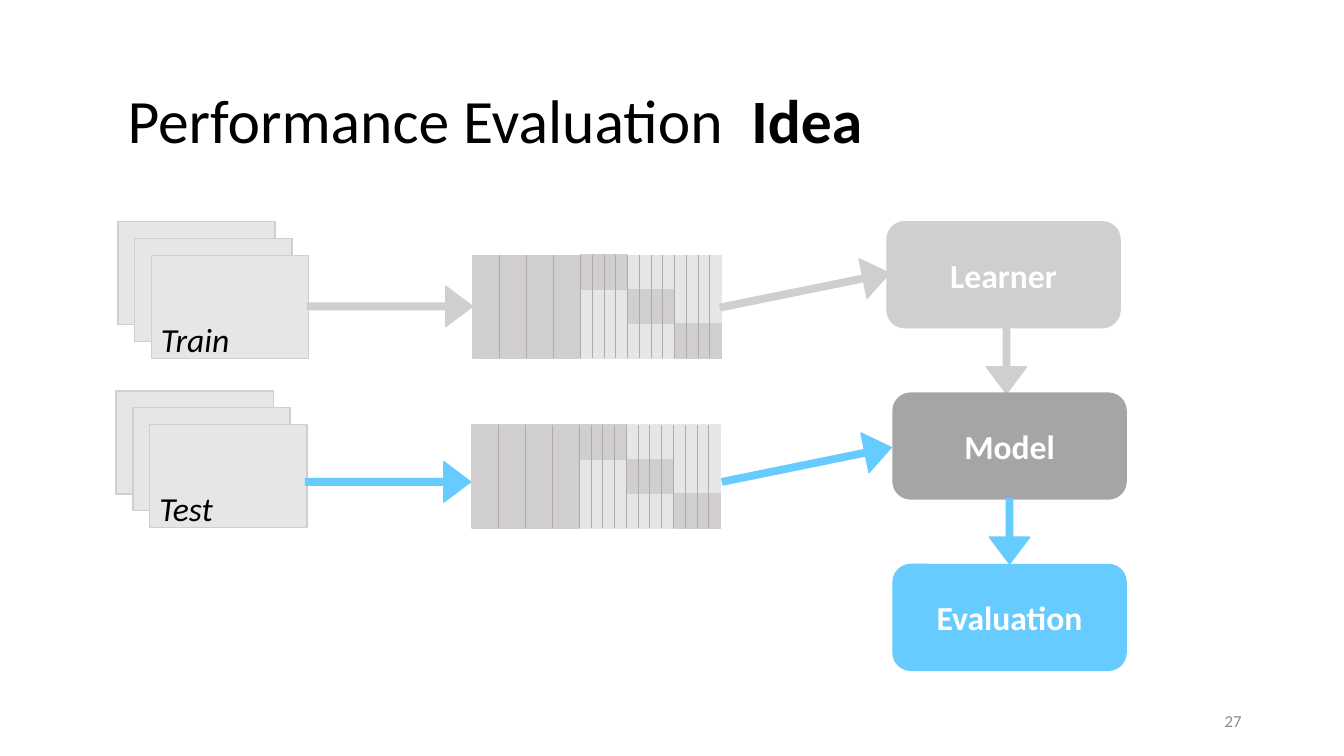
from lxml.etree import SubElement
from pptx import Presentation
from pptx.dml.color import RGBColor
from pptx.enum.shapes import MSO_CONNECTOR, MSO_SHAPE
from pptx.enum.text import MSO_ANCHOR, PP_ALIGN
from pptx.oxml.ns import qn
from pptx.util import Pt

COLORS = {
    "black": "000000",
    "white": "FFFFFF",
    "pale": "E7E6E6",
    "gray": "D0CECE",
    "rule": "AFABAB",
    "dark": "A5A5A5",
    "blue": "66CCFF",
    "number": "8C8C8C",
}


def color(name):
    """Return the named colour."""
    return RGBColor.from_string(COLORS[name])


def block(shapes, kind, box, fill, line=None):
    """Draw a filled shape in the box, outlined in its fill unless told otherwise."""
    shape = shapes.add_shape(kind, *map(Pt, box))
    shape.shadow.inherit = False
    shape.fill.solid()
    shape.fill.fore_color.rgb = color(fill)
    shape.line.color.rgb = color(line or fill)
    shape.line.width = Pt(1)
    return shape


def style(para, size, ink, bold=None, italic=None):
    """Set the font of a paragraph."""
    font = para.font
    font.name, font.size = "Calibri", Pt(size)
    font.bold, font.italic = bold, italic
    font.color.rgb = color(ink)


def text(shapes, box, words, size, ink, anchor=MSO_ANCHOR.TOP, italic=None):
    """Add a wrapped text box and return its paragraph."""
    frame = shapes.add_textbox(*map(Pt, box)).text_frame
    frame.word_wrap = True
    frame.vertical_anchor = anchor
    para = frame.paragraphs[0]
    para.add_run().text = words
    style(para, size, ink, italic=italic)
    return para


def title(shapes, box):
    """Write the slide title with its last word in bold."""
    para = text(shapes, box, "Performance Evaluation  ", 44, "black", MSO_ANCHOR.MIDDLE)
    para.line_spacing = 0.9
    run = para.add_run()
    run.text = "Idea"
    run.font.bold = True


def number(shapes, box):
    """Write the slide number."""
    para = text(shapes, box, "27", 12, "number", MSO_ANCHOR.MIDDLE)
    para.alignment = PP_ALIGN.RIGHT


def stack(shapes, box, label):
    """Draw three shifted cards with a label on the front one."""
    left, top, width, height = box
    step = 12
    for i in range(3):
        card = (left + i * step, top + i * step, width, height)
        block(shapes, MSO_SHAPE.RECTANGLE, card, "pale", "gray")
    text(shapes, (left + 23.7, top + 65.5, 90.7, 36), label, 24, "black", italic=True)


def matrix(shapes, box):
    """Draw a feature matrix: wide columns, then narrow ones with a diagonal."""
    left, top, width, height = box
    parts = shapes.add_group_shape().shapes
    wide, narrow = 19.2, 8.4
    split = left + 4 * wide
    rest = left + width - split
    block(parts, MSO_SHAPE.RECTANGLE, (left, top, split - left, height), "gray")
    block(parts, MSO_SHAPE.RECTANGLE, (split, top, rest, height), "pale")
    for i in range(3):
        cell = (split + i * rest / 3, top + i * height / 3, rest / 3, height / 3)
        block(parts, MSO_SHAPE.RECTANGLE, cell, "gray")
    rules = [left + i * wide for i in range(1, 4)]
    rules += [split + i * narrow for i in range(12)]
    for x in rules:
        line = parts.add_connector(
            MSO_CONNECTOR.STRAIGHT, Pt(x), Pt(top), Pt(x), Pt(top + height))
        line.line.color.rgb = color("rule")
        line.line.width = Pt(0.5)
        SubElement(line._element.spPr, qn("a:effectLst"))


def arrow(shapes, box, fill, turn=0):
    """Draw a thin block arrow turned clockwise by some degrees."""
    shape = block(shapes, MSO_SHAPE.RIGHT_ARROW, box, fill)
    shape.adjustments[0] = 0.16
    shape.adjustments[1] = 0.665
    shape.rotation = turn


def stage(shapes, box, label, fill):
    """Draw a rounded box with a bold centred label."""
    shape = block(shapes, MSO_SHAPE.ROUNDED_RECTANGLE, box, fill)
    shape.text_frame.vertical_anchor = MSO_ANCHOR.MIDDLE
    para = shape.text_frame.paragraphs[0]
    para.text = label
    para.alignment = PP_ALIGN.CENTER
    style(para, 24, "white", bold=True)


def main():
    """Build the slide and save it."""
    deck = Presentation()
    deck.slide_width, deck.slide_height = Pt(960), Pt(540)
    shapes = deck.slides.add_slide(deck.slide_layouts[6]).shapes
    number(shapes, (678, 500.5, 216, 28.75))
    title(shapes, (84, 43.9, 810, 88.6))
    stack(shapes, (84.2, 158.4, 112.3, 73.5), "Train")
    stack(shapes, (83, 279.3, 112.3, 73.5), "Test")
    arrow(shapes, (219.6, 204.5, 118, 28.8), "gray")
    arrow(shapes, (218.2, 329.8, 118, 28.8), "blue")
    matrix(shapes, (337.8, 182.3, 177.6, 73.5))
    matrix(shapes, (337, 303.7, 177.6, 73.5))
    arrow(shapes, (513.4, 193, 123.1, 28.8), "gray", 348.5)
    stage(shapes, (633.6, 158.4, 166.5, 75.6), "Learner", "gray")
    arrow(shapes, (695.5, 243.4, 46.8, 28.8), "gray", 90)
    stage(shapes, (637.9, 280.8, 166.5, 75.6), "Model", "dark")
    arrow(shapes, (697.7, 365, 46.8, 28.8), "blue", 90)
    arrow(shapes, (514.8, 317.5, 123.1, 28.8), "blue", 348.5)
    stage(shapes, (637.9, 403.2, 166.5, 75.6), "Evaluation", "blue")
    deck.save("out.pptx")


if __name__ == "__main__":
    main()
